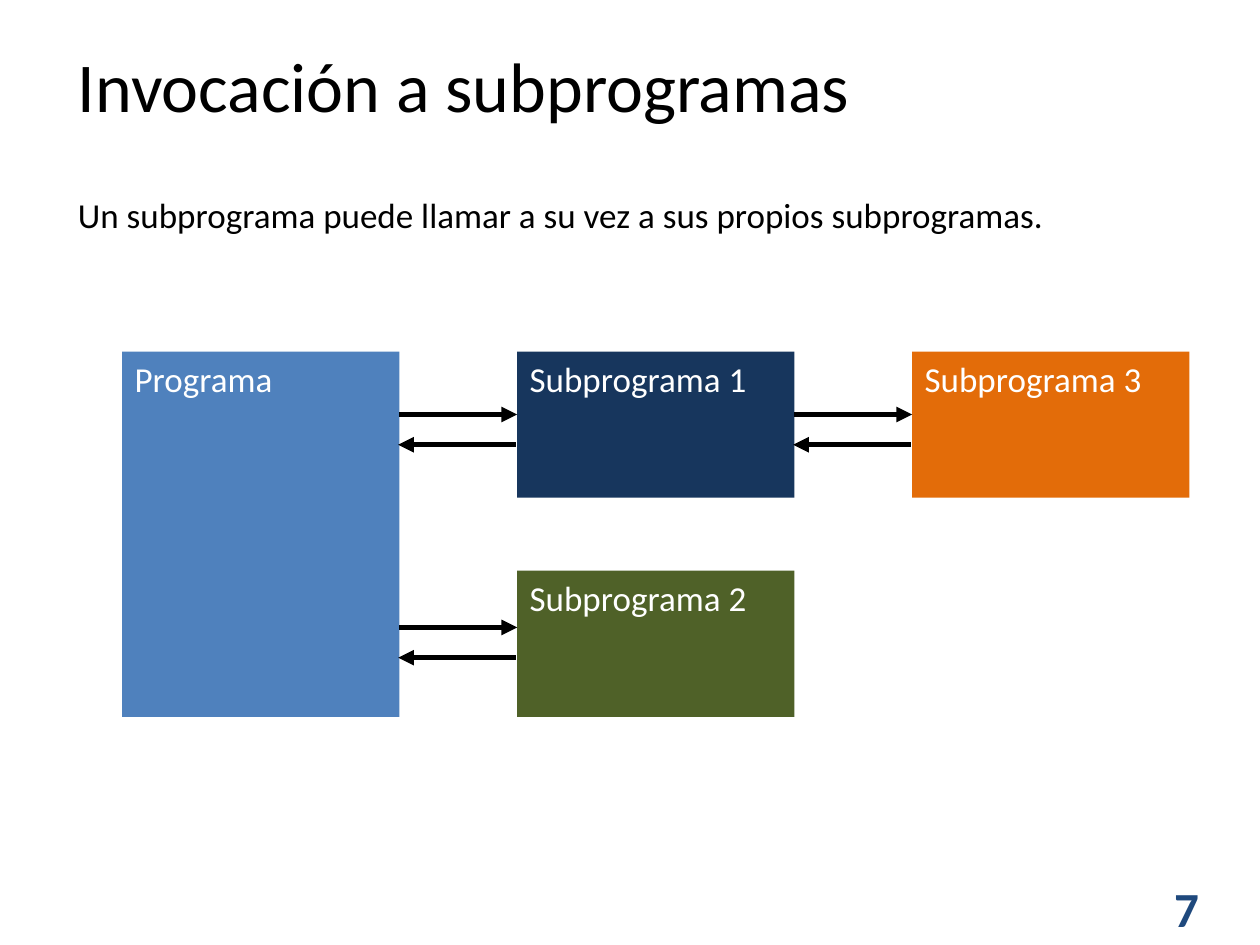
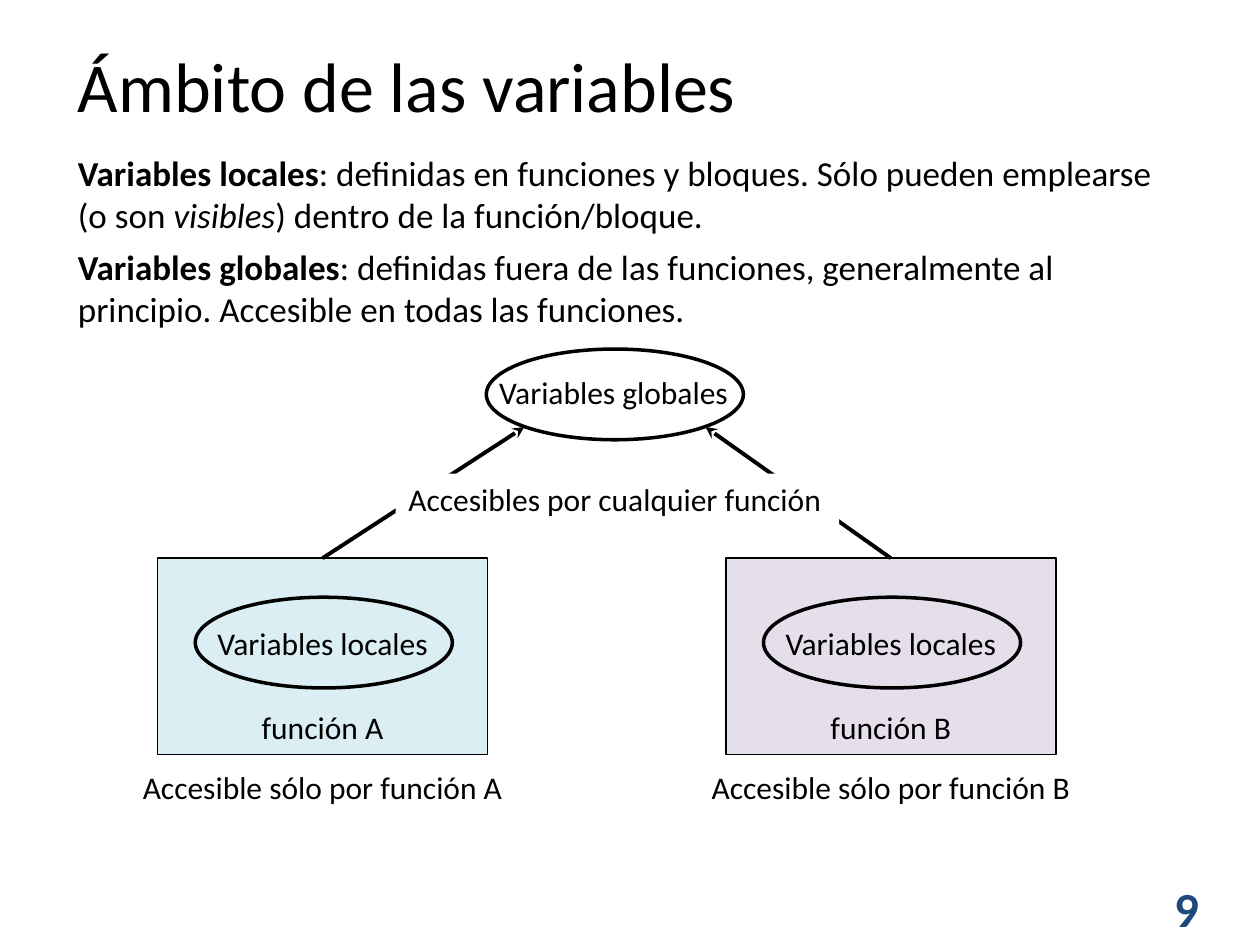
from pptx import Presentation
from pptx.dml.color import RGBColor
from pptx.enum import shapes, text
from pptx.oxml.ns import qn
from pptx.util import Inches, Pt
from lxml import etree

BLACK = RGBColor(0x00, 0x00, 0x00)
WHITE = RGBColor(0xFF, 0xFF, 0xFF)
NUMBER_BLUE = RGBColor(0x1F, 0x49, 0x7D)
BLUE = RGBColor(0x4F, 0x81, 0xBD)
NAVY = RGBColor(0x17, 0x36, 0x5D)
OLIVE = RGBColor(0x4F, 0x61, 0x28)
ORANGE = RGBColor(0xE3, 0x6C, 0x09)
PALE_BLUE = RGBColor(0xDA, 0xEE, 0xF3)
PALE_PURPLE = RGBColor(0xE5, 0xDF, 0xEC)

FONT = "Calibri"
RECT = shapes.MSO_SHAPE.RECTANGLE
OVAL = shapes.MSO_SHAPE.OVAL
LEFT, CENTER = text.PP_ALIGN.LEFT, text.PP_ALIGN.CENTER

# Content of the subprogram slide: name, column, row, rows spanned, fill
CALLS_TITLE = "Invocación a subprogramas"
CALLS_TEXT = [[("Un subprograma puede llamar a su vez a sus propios subprogramas.", {})]]
PROGRAMS = [
    ("Programa", 0, 0, 2, BLUE),
    ("Subprograma 1", 1, 0, 1, NAVY),
    ("Subprograma 2", 1, 1, 1, OLIVE),
    ("Subprograma 3", 2, 0, 1, ORANGE),
]
CALLS = [(0, 3.29), (1, 3.29), (0, 4.98)]  # calling column, height of the call

# Content of the scope slide
SCOPE_TITLE = "Ámbito de las variables"
SCOPE_TEXT = [
    [("Variables locales", {"bold": True}),
     (": definidas en funciones y bloques. Sólo pueden emplearse (o son ", {}),
     ("visibles", {"italic": True}),
     (") dentro de la función/bloque.", {})],
    [("Variables globales", {"bold": True}),
     (": definidas fuera de las funciones, generalmente al principio. "
      "Accesible en todas las funciones.", {})],
]
GLOBALS = "Variables globales"
LOCALS = "Variables locales"
ACCESS = "Accesibles por cualquier función"
# Function, centre, fill, point where its arrow meets the global variables
FUNCTIONS = [("A", 2.56, PALE_BLUE, 4.16), ("B", 7.07, PALE_PURPLE, 5.6)]


def write(sp, paragraphs, size, color, align=LEFT, wrap=True):
    tf = sp.text_frame
    frame = {"word_wrap": wrap, "vertical_anchor": text.MSO_ANCHOR.TOP}
    for name, value in frame.items():
        setattr(tf, name, value)
    for i, runs in enumerate(paragraphs):
        p = tf.add_paragraph() if i else tf.paragraphs[0]
        p.alignment = align
        p.space_before = Pt(6 if i else 0)
        for words, style in runs:
            r = p.add_run()
            r.text = words
            r.font.color.rgb = color
            for name, value in {"name": FONT, "size": Pt(size), **style}.items():
                setattr(r.font, name, value)


def add_text(slide, box, paragraphs, size, color=BLACK, **layout):
    sp = slide.shapes.add_textbox(*map(Inches, box))
    write(sp, paragraphs, size, color, **layout)


def add_label(slide, cx, top, width, words):
    add_text(slide, (cx - width / 2, top, width, 0.4), [[(words, {})]], 18,
             align=CENTER, wrap=False)


def add_shape(slide, kind, box, fill=None, line=None):
    sp = slide.shapes.add_shape(kind, *map(Inches, box))
    sp.shadow.inherit = False
    if fill is None:
        sp.fill.background()
    else:
        sp.fill.solid()
        sp.fill.fore_color.rgb = fill
    if line is None:
        sp.line.fill.background()
    else:
        sp.line.color.rgb = BLACK
        sp.line.width = Pt(line)
    return sp


def add_oval(slide, cx, top):
    add_shape(slide, OVAL, (cx - 1.02, top, 2.04, 0.72), line=2)


def add_arrow(slide, start, end, width, head):
    sp = slide.shapes.add_connector(shapes.MSO_CONNECTOR.STRAIGHT,
                                    *map(Inches, start + end))
    sp.line.color.rgb = BLACK
    sp.line.width = Pt(width)
    etree.SubElement(sp.line._get_or_add_ln(), qn("a:tailEnd"), type=head)
    etree.SubElement(sp._element.spPr, qn("a:effectLst"))


def add_slide(prs, title, number):
    slide = prs.slides.add_slide(prs.slide_layouts[6])
    add_text(slide, (0.52, 0.29, 9.08, 0.77), [[(title, {})]], 40)
    add_text(slide, (9.22, 6.92, 0.71, 0.57), [[(number, {"bold": True})]], 28, NUMBER_BLUE)
    return slide


def build_calls(prs):
    slide = add_slide(prs, CALLS_TITLE, "7")
    add_text(slide, (0.52, 1.49, 8.69, 0.44), CALLS_TEXT, 20)

    # Program blocks on a grid
    left, top, width, height = 0.97, 2.79, 2.2, 1.16
    col_step, row_step = 3.135, 1.74
    for name, col, row, span, fill in PROGRAMS:
        box = (left + col * col_step, top + row * row_step,
               width, height + (span - 1) * row_step)
        write(add_shape(slide, RECT, box, fill), [[(name, {})]], 20, WHITE)

    # Each call and its return
    for col, y in CALLS:
        x = left + width + col * col_step
        gap = col_step - width
        add_arrow(slide, (x, y), (x + gap, y), 3, "triangle")
        add_arrow(slide, (x + gap - 0.01, y + 0.24), (x - 0.01, y + 0.24), 3, "triangle")


def build_scope(prs):
    slide = add_slide(prs, SCOPE_TITLE, "9")
    add_text(slide, (0.52, 1.15, 8.8, 1.53), SCOPE_TEXT, 20)

    # Global variables
    add_oval(slide, 4.88, 2.77)
    add_label(slide, 4.87, 2.91, 2.04, GLOBALS)

    # Functions with their local variables
    box_top = 4.43
    for name, cx, fill, arrow_x in FUNCTIONS:
        add_shape(slide, RECT, (cx - 1.31, box_top, 2.62, 1.56), fill, 1)
        add_oval(slide, cx + 0.01, box_top + 0.31)
        add_label(slide, cx, box_top + 0.47, 1.89, LOCALS)
        add_label(slide, cx, box_top + 1.14, 1.2, f"función {name}")
        add_label(slide, cx, box_top + 1.62, 3.09, f"Accesible sólo por función {name}")
        add_arrow(slide, (cx, box_top), (arrow_x, 3.39), 2.25, "stealth")

    # Label over the arrows
    add_shape(slide, RECT, (3.14, 3.76, 3.52, 0.4), WHITE)
    add_label(slide, 4.88, 3.76, 3.52, ACCESS)


def main():
    prs = Presentation()
    prs.slide_width, prs.slide_height = Inches(10), Inches(7.5)
    build_calls(prs)
    build_scope(prs)
    prs.save("out.pptx")


if __name__ == "__main__":
    main()
